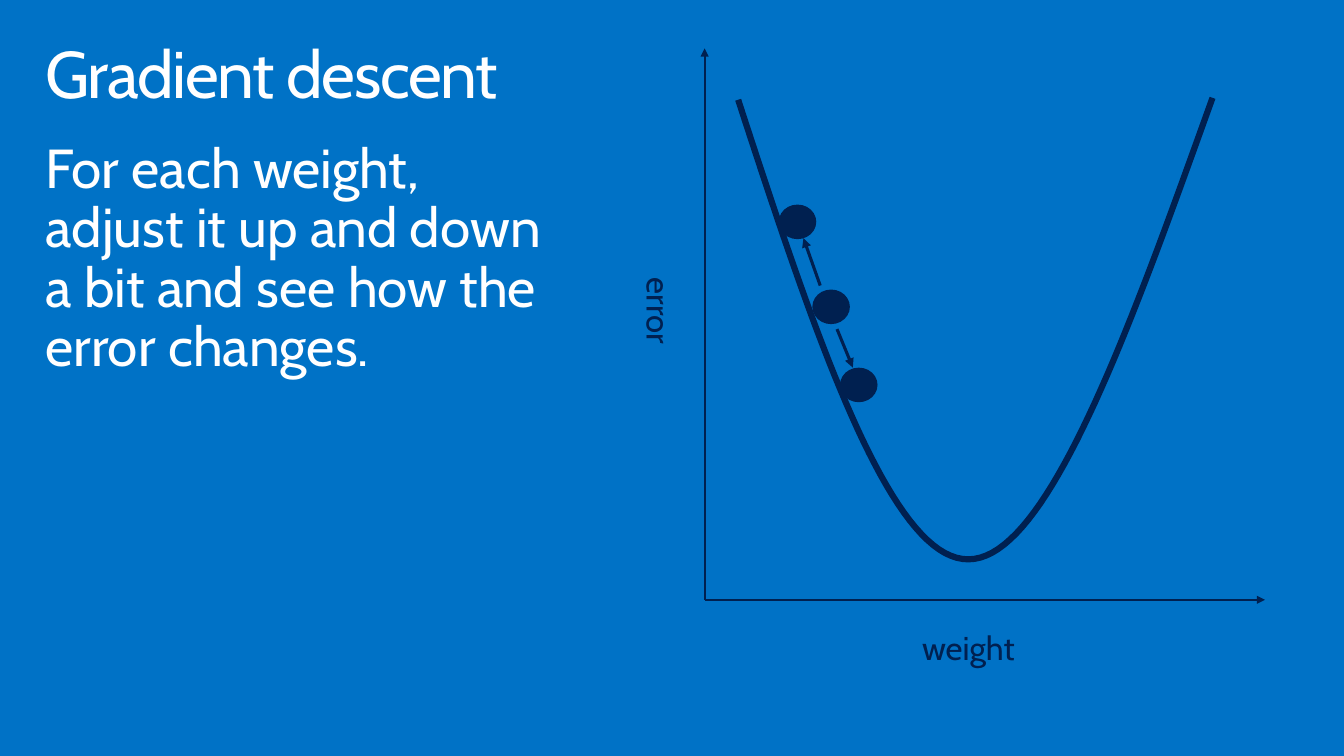
from lxml.etree import SubElement
from pptx import Presentation
from pptx.dml.color import RGBColor
from pptx.enum.shapes import MSO_CONNECTOR, MSO_SHAPE
from pptx.enum.text import MSO_ANCHOR, MSO_AUTO_SIZE, PP_ALIGN
from pptx.oxml.ns import qn
from pptx.util import Inches, Pt

BLUE = RGBColor(0x00, 0x72, 0xC6)
NAVY = RGBColor(0x00, 0x20, 0x50)
WHITE = RGBColor(0xFF, 0xFF, 0xFF)

ORIGIN = (7.13, 6.07)
BALL_SIZE = (0.38, 0.35)
BALLS = [(8.22, 2.93), (8.5, 3.72), (7.88, 2.07)]
ERROR_CURVE = [
    [(7.47, 1.01), (8.23, 3.34), (9, 5.67), (9.8, 5.66)],
    [(9.8, 5.66), (10.6, 5.66), (11.43, 3.33), (12.27, 0.99)],
]
STEPS_PER_BEZIER = 40
TEXT_FRAME = {
    "vertical_anchor": MSO_ANCHOR.TOP,
    "auto_size": MSO_AUTO_SIZE.NONE,
    "word_wrap": True,
}


def apply(target, values):
    for name, value in values.items():
        setattr(target, name, value)


def place(shape, left, top, width, height):
    apply(shape, {"left": Inches(left), "top": Inches(top),
                  "width": Inches(width), "height": Inches(height)})


def write(shape, text, size, color, inset, wrap=True):
    across, down = map(Inches, inset)
    frame = shape.text_frame
    apply(frame, {**TEXT_FRAME, "word_wrap": wrap,
                  "margin_left": across, "margin_right": across,
                  "margin_top": down, "margin_bottom": down})
    paragraph = frame.paragraphs[0]
    apply(paragraph, {"alignment": PP_ALIGN.LEFT, "line_spacing": 0.9,
                      "space_before": Pt(0)})
    run = paragraph.add_run()
    run.text = text
    apply(run.font, {"name": "Cabin", "size": Pt(size)})
    run.font.color.rgb = color
    return run


def add_text(slide, box, text, size, color, inset, wrap=True):
    label = slide.shapes.add_textbox(*map(Inches, box))
    write(label, text, size, color, inset, wrap)
    return label


def add_axis_label(slide, box, text, rotation=0):
    label = add_text(slide, box, text, 24, NAVY, (0.2, 0.16), wrap=False)
    label.rotation = rotation


def add_arrow(slide, start, end, width):
    arrow = slide.shapes.add_connector(
        MSO_CONNECTOR.STRAIGHT, *map(Inches, (*start, *end)))
    arrow.line.color.rgb = NAVY
    arrow.line.width = Pt(width)
    SubElement(arrow.line._get_or_add_ln(), qn("a:tailEnd"), type="triangle")
    SubElement(arrow._element.spPr, qn("a:effectLst"))


def add_ball(slide, left, top):
    ball = slide.shapes.add_shape(
        MSO_SHAPE.OVAL, *map(Inches, (left, top, *BALL_SIZE)))
    ball.shadow.inherit = False
    ball.fill.solid()
    ball.fill.fore_color.rgb = NAVY
    ball.line.fill.background()


def bezier_point(controls, t):
    weights = ((1 - t) ** 3, 3 * t * (1 - t) ** 2, 3 * t ** 2 * (1 - t), t ** 3)
    return tuple(
        Inches(sum(w * value for w, value in zip(weights, axis)))
        for axis in zip(*controls))


def add_curve(slide, beziers):
    points = [bezier_point(controls, step / STEPS_PER_BEZIER)
              for controls in beziers
              for step in range(STEPS_PER_BEZIER + 1)]
    builder = slide.shapes.build_freeform(*points[0])
    builder.add_line_segments(points[1:], close=False)
    curve = builder.convert_to_shape()
    curve.shadow.inherit = False
    curve.fill.background()
    curve.line.color.rgb = NAVY
    curve.line.width = Pt(4.5)


def main():
    deck = Presentation()
    apply(deck, {"slide_width": Inches(13.6), "slide_height": Inches(7.65)})
    slide = deck.slides.add_slide(deck.slide_layouts.get_by_name("Title Only"))
    slide.background.fill.solid()
    slide.background.fill.fore_color.rgb = BLUE

    title = slide.shapes.title
    place(title, 0.3, 0.32, 13, 1)
    heading = write(title, "Gradient descent", 48, WHITE, (0.16, 0.1))
    heading.font._element.set("spc", "-100")
    add_text(slide, (0.3, 1.33, 5.46, 2.63),
             "For each weight, adjust it up and down a bit "
             "and see how the error changes.",
             40, WHITE, (0.16, 0.1))

    add_curve(slide, ERROR_CURVE)
    add_arrow(slide, ORIGIN, (7.13, 0.49), 1.5)
    add_arrow(slide, ORIGIN, (12.8, 6.07), 1.5)
    add_axis_label(slide, (9.13, 6.24, 1.41, 0.69), "weight")
    add_axis_label(slide, (6.08, 2.83, 1.13, 0.69), "error", rotation=90)

    for left, top in BALLS:
        add_ball(slide, left, top)
    add_arrow(slide, (8.3, 2.89), (8.13, 2.41), 2.25)
    add_arrow(slide, (8.47, 3.33), (8.63, 3.72), 2.25)

    deck.save("out.pptx")


if __name__ == "__main__":
    main()
